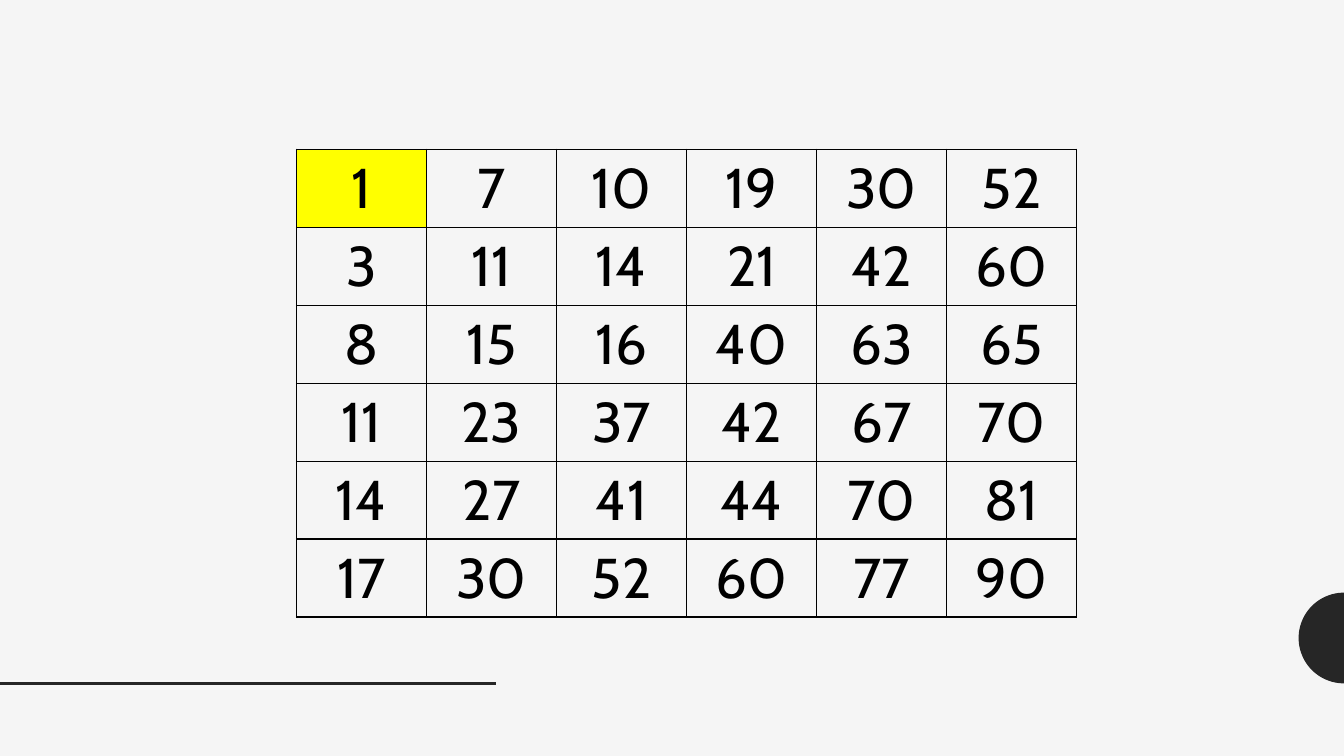
from math import cos, pi, sin

from lxml.etree import SubElement
from pptx import Presentation
from pptx.dml.color import RGBColor
from pptx.enum.text import MSO_ANCHOR, PP_ALIGN
from pptx.oxml.ns import qn
from pptx.util import Inches, Pt


class Theme:
    background = "F5F5F5"
    accent = "262626"
    text = "000000"
    border = "000000"
    highlight = "FFFF00"
    font = "Cabin"
    number_size = 40
    rule_width = 2
    border_width = 1


WIDTH, HEIGHT = 13.33, 7.5
NUMBERS = [
    [1, 7, 10, 19, 30, 52],
    [3, 11, 14, 21, 42, 60],
    [8, 15, 16, 40, 63, 65],
    [11, 23, 37, 42, 67, 70],
    [14, 27, 41, 44, 70, 81],
    [17, 30, 52, 60, 77, 90],
]


def rgb(color):
    return RGBColor.from_string(color)


def write(tf, text, *, size, color, font, align=PP_ALIGN.CENTER):
    p = tf.paragraphs[0]
    p.alignment = align
    r = p.add_run()
    r.text = text
    r.font.size = Pt(size)
    r.font.name = font
    r.font.color.rgb = rgb(color)


def add_borders(cell, color, width):
    """Draw all four sides; must run before the cell's fill is set."""
    tcPr = cell._tc.get_or_add_tcPr()
    for side in ("a:lnL", "a:lnR", "a:lnT", "a:lnB"):
        ln = SubElement(tcPr, qn(side), w=str(Pt(width)))
        fill = SubElement(ln, qn("a:solidFill"))
        SubElement(fill, qn("a:srgbClr"), val=color)


class SlideBuilder:
    def __init__(self, s, theme):
        self.s = s
        self.theme = theme
        fill = s.background.fill
        fill.solid()
        fill.fore_color.rgb = rgb(theme.background)

    def half_disc(self, right, center_y, radius, steps=48):
        """Draw the left half of a disc, its flat side at `right`."""
        angles = [pi / 2 + pi * i / steps for i in range(steps + 1)]
        points = [(Inches(right + radius * cos(a)), Inches(center_y - radius * sin(a)))
                  for a in angles]
        builder = self.s.shapes.build_freeform(*points[0])
        builder.add_line_segments(points[1:], close=True)
        sp = builder.convert_to_shape()
        sp.shadow.inherit = False
        sp.fill.solid()
        sp.fill.fore_color.rgb = rgb(self.theme.accent)
        sp.line.fill.background()

    def rule(self, x1, x2, y):
        line = self.s.shapes.add_connector(
            1, Inches(x1), Inches(y), Inches(x2), Inches(y))
        line.line.color.rgb = rgb(self.theme.accent)
        line.line.width = Pt(self.theme.rule_width)
        SubElement(line._element.spPr, qn("a:effectLst"))

    def number_table(self, numbers, left, top, col_width, row_height, highlighted):
        t = self.theme
        rows, cols = len(numbers), len(numbers[0])
        table = self.s.shapes.add_table(
            rows, cols, Inches(left), Inches(top),
            Inches(col_width * cols), Inches(row_height * rows)).table
        table.first_row = table.horz_banding = False
        for i, row in enumerate(numbers):
            for j, number in enumerate(row):
                cell = table.cell(i, j)
                cell.vertical_anchor = MSO_ANCHOR.MIDDLE
                add_borders(cell, t.border, t.border_width)
                if (i, j) in highlighted:
                    cell.fill.solid()
                    cell.fill.fore_color.rgb = rgb(t.highlight)
                else:
                    cell.fill.background()
                write(cell.text_frame, str(number),
                      size=t.number_size, color=t.text, font=t.font)


def main():
    prs = Presentation()
    prs.slide_width, prs.slide_height = Inches(WIDTH), Inches(HEIGHT)
    s = prs.slides.add_slide(prs.slide_layouts[6])
    slide = SlideBuilder(s, Theme())
    slide.half_disc(WIDTH, 6.33, 0.45)
    slide.rule(0, 4.92, 6.78)
    slide.number_table(NUMBERS, 2.94, 1.48, 1.29, 0.77, {(0, 0)})
    prs.save("out.pptx")


if __name__ == "__main__":
    main()
